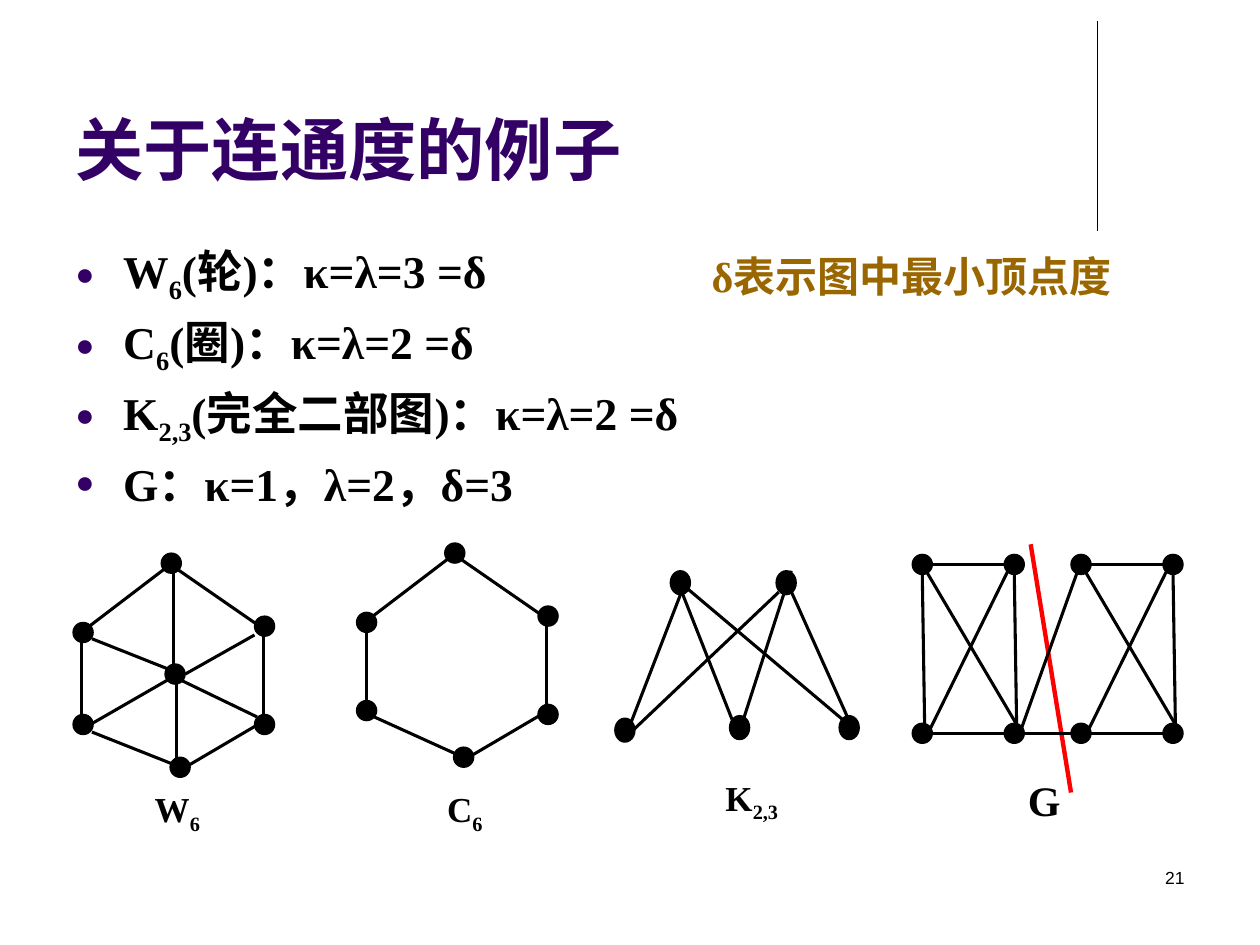
from lxml import etree
from pptx import Presentation
from pptx.dml.color import RGBColor
from pptx.enum.shapes import MSO_CONNECTOR, MSO_SHAPE
from pptx.enum.text import MSO_ANCHOR as ANCHOR, PP_ALIGN as ALIGN
from pptx.oxml.ns import qn
from pptx.util import Pt

PX = 9144  # 100 px to the inch
BLACK = RGBColor(0x00, 0x00, 0x00)
PURPLE = RGBColor(0x33, 0x00, 0x66)
OCHRE = RGBColor(0x99, 0x66, 0x00)
RED = RGBColor(0xFF, 0x00, 0x00)
SERIF = "Times New Roman"

prs = Presentation()
prs.slide_width, prs.slide_height = 1000 * PX, 750 * PX
s = prs.slides.add_slide(prs.slide_layouts[6])


def write(sp, lines, size=20, font=SERIF, color=BLACK, bold=True,
          align=ALIGN.LEFT, anchor=ANCHOR.TOP, bullet=None, before=0):
    """Fill sp with lines; in each line "_" switches subscript on and off."""
    tf = sp.text_frame
    tf.word_wrap = True
    tf.vertical_anchor = anchor
    for i, line in enumerate(lines):
        p = tf.paragraphs[0] if i == 0 else tf.add_paragraph()
        p.alignment = align
        p.space_before = Pt(before)
        for j, part in enumerate(line.split("_")):
            if not part:
                continue
            r = p.add_run()
            r.text = part
            r.font.size, r.font.name, r.font.bold = Pt(size), font, bold
            r.font.color.rgb = color
            if j % 2:
                r.font._element.set("baseline", "-25000")
        if bullet:
            pPr = p._p.get_or_add_pPr()
            pPr.set("marL", str(38 * PX))
            pPr.set("indent", str(-38 * PX))
            clr = etree.SubElement(pPr, qn("a:buClr"))
            etree.SubElement(clr, qn("a:srgbClr")).set("val", str(PURPLE))
            etree.SubElement(pPr, qn("a:buSzPct")).set("val", "70000")
            etree.SubElement(pPr, qn("a:buFont")).set("typeface", "Arial")
            etree.SubElement(pPr, qn("a:buChar")).set("char", bullet)


def draw_line(x1, y1, x2, y2, color=BLACK, width=1.75):
    c = s.shapes.add_connector(MSO_CONNECTOR.STRAIGHT,
                               x1 * PX, y1 * PX, x2 * PX, y2 * PX)
    c.line.color.rgb, c.line.width = color, Pt(width)
    etree.SubElement(c._element.spPr, qn("a:effectLst"))


# Heading, statements and page number
draw_line(871, 17, 871, 183, width=0.75)
statements = ["W_6_(轮)：κ=λ=3 =δ", "C_6_(圈)：κ=λ=2 =δ",
              "K_2,3_(完全二部图)：κ=λ=2 =δ", "G：κ=1，λ=2，δ=3"]
for box, lines, style in [
    ((50, 13, 825, 142), ["关于连通度的例子"],
     dict(size=39, font="Arial", color=PURPLE, anchor=ANCHOR.BOTTOM)),
    ((50, 188, 900, 218), statements, dict(size=26, bullet="●", before=5)),
    ((717, 683, 233, 50), ["21"],
     dict(size=10, font="Arial", bold=False, align=ALIGN.RIGHT)),
    ((555, 194, 347, 50), ["δ表示图中最小顶点度"], dict(size=24, color=OCHRE)),
    ((566, 611, 74, 61), ["K_2,3_"], dict(align=ALIGN.JUSTIFY)),
    ((345, 620, 74, 61), ["C_6_"], dict(align=ALIGN.JUSTIFY)),
    ((113, 620, 74, 61), ["W_6_"], dict(align=ALIGN.JUSTIFY)),
]:
    write(s.shapes.add_textbox(*(v * PX for v in box)), lines, **style)

sp = s.shapes.add_shape(MSO_SHAPE.RECTANGULAR_CALLOUT,
                        806 * PX, 610 * PX, 79 * PX, 55 * PX)
sp.adjustments[0], sp.adjustments[1] = -0.21, 0.62
sp.shadow.inherit = False
sp.fill.background()
sp.line.fill.background()
write(sp, ["G"], size=24)

# Each graph part: offset, vertex height, vertex corners, edges
hexagon_dots = [(128, 439), (58, 494), (135, 601), (202, 489), (202, 567)]
hexagon_edges = [(71, 497, 130, 452), (141, 452, 206, 497),
                 (209, 503, 209, 567), (147, 609, 215, 569)]
square_dots = [(724, 440), (797, 440), (724, 574), (797, 574)]
square_edges = [(740, 448, 803, 448), (740, 582, 803, 582),
                (807, 584, 805, 456), (738, 579, 800, 453),
                (811, 582, 732, 448)]
parts = [
    # K2,3
    (0, 0, 19, [(532, 453), (616, 453), (488, 570), (579, 568), (666, 568)],
     [(543, 465, 677, 578), (540, 467, 581, 571), (626, 465, 673, 570),
      (590, 571, 628, 453), (540, 472, 501, 573), (618, 470, 503, 579)]),
    # G: two crossed squares and what links them
    (0, 0, 16, square_dots, square_edges),
    (126, 0, 16, square_dots, square_edges),
    (0, 0, 16, [], [(734, 584, 732, 456), (866, 582, 811, 582),
                    (810, 580, 855, 454)]),
    # C6
    (225, -8, 16, hexagon_dots, hexagon_edges),
    (0, 0, 16, [(283, 556)], [(291, 493, 291, 556), (297, 569, 361, 598)]),
    # W6: rim, then hub and spokes
    (0, 0, 16, hexagon_dots, hexagon_edges),
    (0, 0, 16, [(58, 567), (131, 527)],
     [(65, 504, 65, 567), (73, 581, 136, 606), (70, 576, 136, 538),
      (73, 507, 136, 532), (138, 455, 138, 540), (144, 540, 204, 569),
      (140, 541, 140, 603), (147, 535, 202, 504)]),
]
draw_line(818, 432, 850, 629, RED, 2.5)
for dx, dy, height, dots, edges in parts:
    for x1, y1, x2, y2 in edges:
        draw_line(x1 + dx, y1 + dy, x2 + dx, y2 + dy)
    for x, y in dots:
        dot = s.shapes.add_shape(MSO_SHAPE.FLOWCHART_CONNECTOR, (x + dx) * PX,
                                 (y + dy) * PX, 16 * PX, height * PX)
        dot.shadow.inherit = False
        dot.fill.solid()
        dot.fill.fore_color.rgb = BLACK
        dot.line.color.rgb, dot.line.width = BLACK, Pt(0.75)

prs.save("out.pptx")
